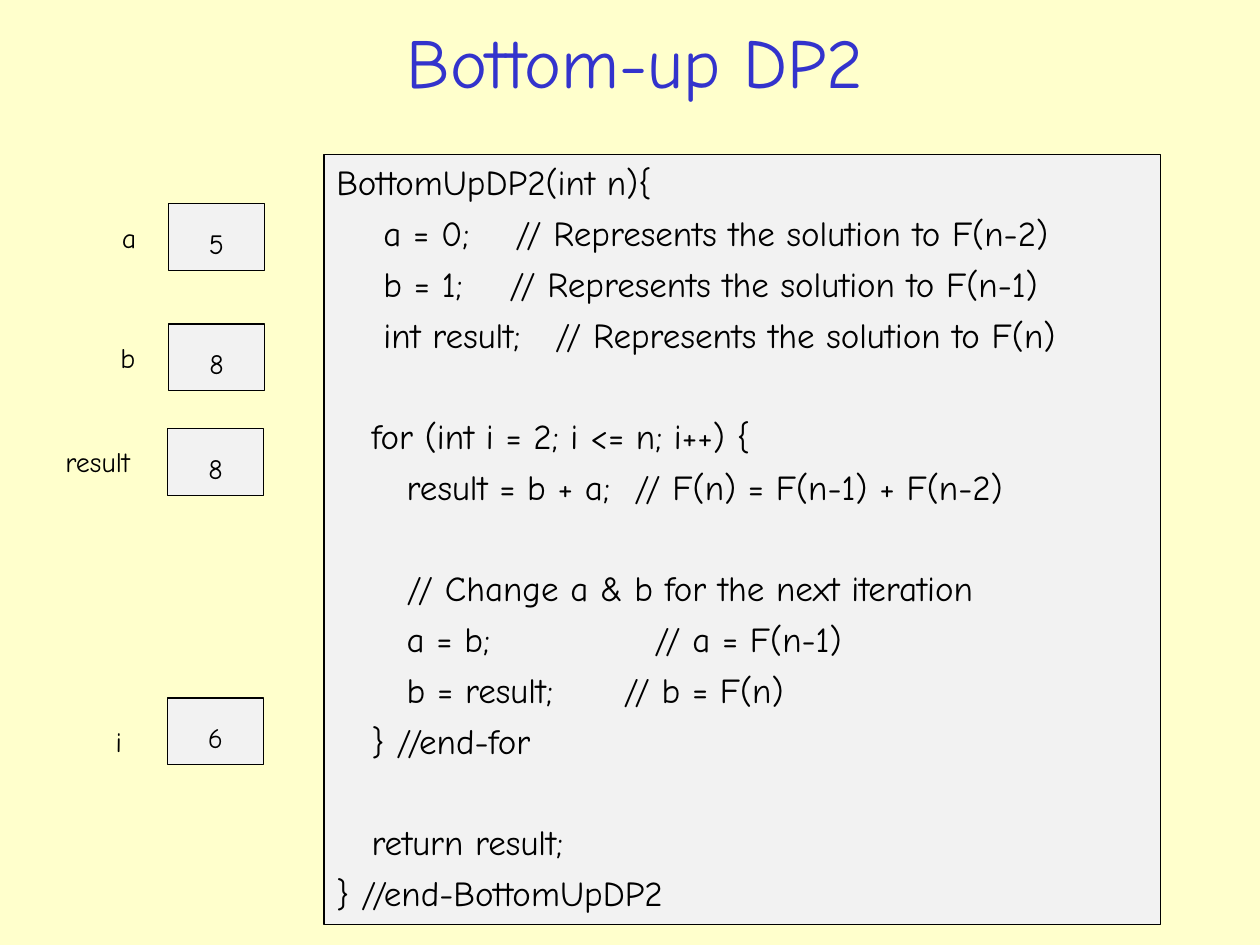
"""Build a slide that traces the variables of a bottom-up Fibonacci routine."""
from lxml import etree
from pptx import Presentation
from pptx.dml.color import RGBColor
from pptx.enum.shapes import MSO_SHAPE
from pptx.enum.text import MSO_ANCHOR, MSO_AUTO_SIZE, PP_ALIGN
from pptx.oxml.ns import qn
from pptx.util import Cm, Pt

RECT = MSO_SHAPE.RECTANGLE
LEFT, CENTER = PP_ALIGN.LEFT, PP_ALIGN.CENTER
TOP, MIDDLE = MSO_ANCHOR.TOP, MSO_ANCHOR.MIDDLE
FIT_SHAPE = MSO_AUTO_SIZE.SHAPE_TO_FIT_TEXT
FONT = "Comic Neue"
COLORS = {"page": "FFFFCC", "title": "3333CC", "panel": "F2F2F2", "ink": "000000"}


def write(p, text, size=16, color="ink", align=LEFT, spacing=None, before=0, tabs=()):
    p.alignment = align
    p.line_spacing = spacing
    p.space_before = Pt(before)
    if tabs:
        tab_list = etree.SubElement(p._p.get_or_add_pPr(), qn("a:tabLst"))
        for pos in tabs:
            etree.SubElement(tab_list, qn("a:tab"), pos=str(Cm(pos)), algn="l")
    r = p.add_run()
    r.text = text
    r.font.name = FONT
    r.font.size = Pt(size)
    r.font.color.rgb = RGBColor.from_string(COLORS[color])


def add_panel(left, top, width, height):
    sp = s.shapes.add_shape(RECT, Cm(left), Cm(top), Cm(width), Cm(height))
    sp.shadow.inherit = False
    sp.fill.solid()
    sp.fill.fore_color.rgb = RGBColor.from_string(COLORS["panel"])
    sp.line.color.rgb = RGBColor.from_string(COLORS["ink"])
    sp.line.width = Pt(0.74)
    sp.text_frame.vertical_anchor = TOP
    return sp.text_frame


prs = Presentation()
prs.slide_width, prs.slide_height = Cm(25.4), Cm(19.05)
s = prs.slides.add_slide(prs.slide_layouts[5])
s.background.fill.solid()
s.background.fill.fore_color.rgb = RGBColor.from_string(COLORS["page"])

title = s.shapes.title
title.left, title.top, title.width, title.height = Cm(0.69), Cm(0.25), Cm(24.23), Cm(1.93)
title.text_frame.vertical_anchor = MIDDLE
write(title.text_frame.paragraphs[0], "Bottom-up DP2", size=40, color="title", align=CENTER)

variables = [
    ("a", "5", 3.4, 4.11, 2.21, 4.32, 0.82),
    ("b", "8", 3.4, 6.53, 2.18, 6.74, 0.84),
    ("result", "8", 3.38, 8.64, 1.07, 8.84, 1.95),
    ("i", "6", 3.38, 14.07, 2.08, 14.48, 0.67),
]
for name, value, box_left, box_top, name_left, name_top, name_width in variables:
    tf = add_panel(box_left, box_top, 1.93, 1.35)
    write(tf.paragraphs[0], value, align=CENTER, spacing=1.5)
    sp = s.shapes.add_textbox(Cm(name_left), Cm(name_top), Cm(name_width), Cm(0.94))
    sp.text_frame.word_wrap = False
    sp.text_frame.auto_size = FIT_SHAPE
    write(sp.text_frame.paragraphs[0], name)

LINE_GAP, BLOCK_GAP = 5, 34
code = [
    ("BottomUpDP2(int n){", (), LINE_GAP),
    ("\ta = 0;\t// Represents the solution to F(n-2)", (0.95, 3.61), LINE_GAP),
    ("\tb = 1;\t// Represents the solution to F(n-1)", (0.95, 3.49), LINE_GAP),
    ("\tint result;\t// Represents the solution to F(n)", (0.95, 4.41), LINE_GAP),
    ("\tfor (int i = 2; i <= n; i++) {", (0.71,), BLOCK_GAP),
    ("\tresult = b + a;\t// F(n) = F(n-1) + F(n-2)", (1.42, 6.01), LINE_GAP),
    ("\t// Change a & b for the next iteration", (1.42,), BLOCK_GAP),
    ("\ta = b;\t// a = F(n-1)", (1.42, 6.41), LINE_GAP),
    ("\tb = result;\t// b = F(n)", (1.42, 5.79), LINE_GAP),
    ("\t} //end-for", (0.71,), LINE_GAP),
    ("\treturn result;", (0.71,), BLOCK_GAP),
    ("} //end-BottomUpDP2", (), LINE_GAP),
]
tf = add_panel(6.53, 3.12, 16.87, 15.52)
for i, (text, tabs, before) in enumerate(code):
    p = tf.add_paragraph() if i else tf.paragraphs[0]
    write(p, text, size=20, before=before, tabs=tabs)

prs.save("out.pptx")
